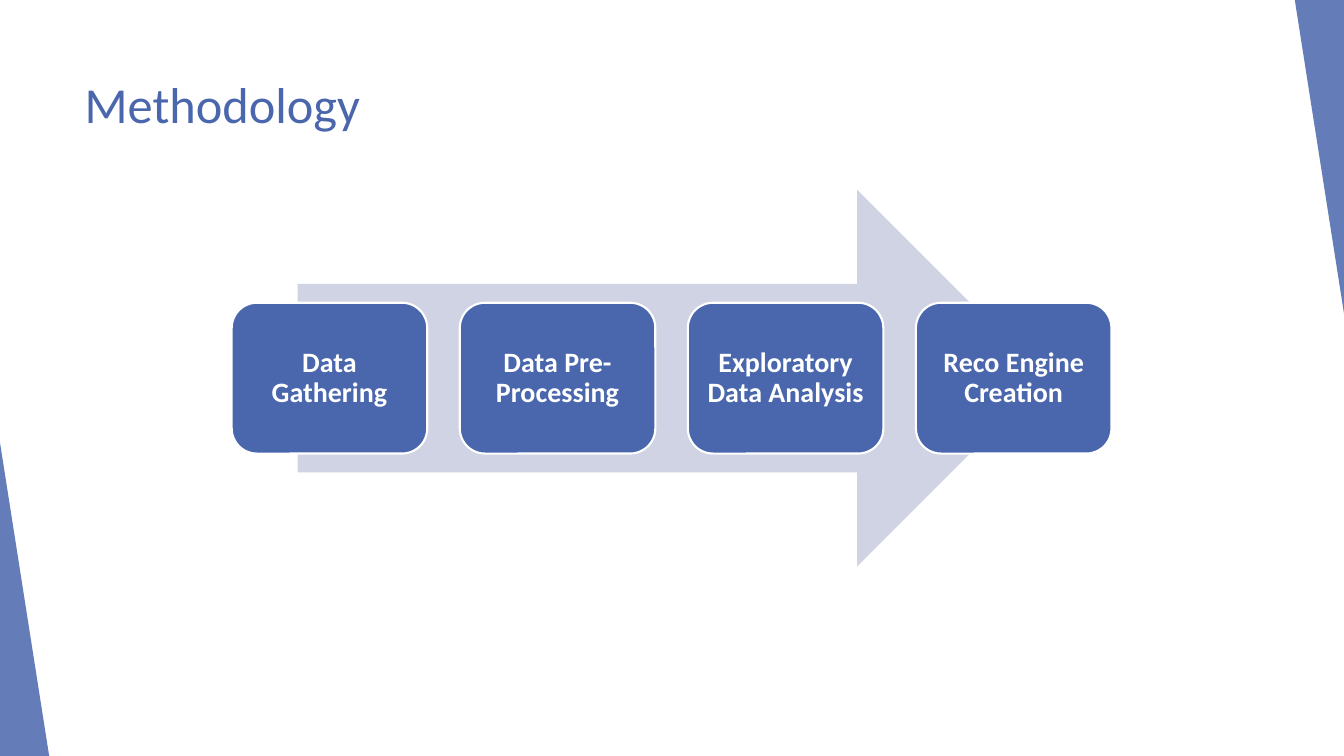
from lxml.etree import SubElement
from pptx import Presentation
from pptx.dml.color import RGBColor
from pptx.enum.shapes import MSO_SHAPE
from pptx.enum.text import MSO_ANCHOR, PP_ALIGN
from pptx.oxml.ns import qn
from pptx.util import Cm, Pt

WIDTH, HEIGHT = 33.87, 19.05
BLUE, PALE, WHITE = "4A66AC", "D0D3E3", "FFFFFF"
STEPS = ["Data Gathering", "Data Pre-Processing",
         "Exploratory Data Analysis", "Reco Engine Creation"]


def rgb(value):
    """Turn a hex string into a colour."""
    return RGBColor.from_string(value)


def add_shape(s, kind, box, fill):
    """Add a filled shape without outline or shadow; box is in centimetres."""
    sp = s.shapes.add_shape(kind, *(Cm(v) for v in box))
    sp.shadow.inherit = False
    sp.fill.solid()
    sp.fill.fore_color.rgb = rgb(fill)
    sp.line.fill.background()
    return sp


def add_run(p, text, size, color, bold=False):
    """Add one formatted run to a paragraph."""
    r = p.add_run()
    r.text = text
    r.font.name = "Calibri"
    r.font.size = Pt(size)
    r.font.bold = bold
    r.font.color.rgb = rgb(color)


def add_wedge(s, box, rotation):
    """Add a translucent corner wedge."""
    sp = add_shape(s, MSO_SHAPE.ISOSCELES_TRIANGLE, box, BLUE)
    sp.adjustments[0] = 0
    sp.rotation = rotation
    clr = sp.fill._xPr.find(".//" + qn("a:srgbClr"))
    SubElement(clr, qn("a:alpha"), val="85000")


def add_corners(s, box):
    """Place wedges in the lower left and upper right corners of the box."""
    left, top, width, height = box
    w, h = 1.24, 7.9
    add_wedge(s, (left, top + height - h, w, h), 0)
    add_wedge(s, (left + width - w, top, w, h), 180)


def add_title(s, text, box):
    """Move and fill the title placeholder."""
    sp = s.shapes.title
    sp.left, sp.top, sp.width, sp.height = (Cm(v) for v in box)
    tf = sp.text_frame
    tf.vertical_anchor = MSO_ANCHOR.MIDDLE
    p = tf.paragraphs[0]
    p.alignment = PP_ALIGN.LEFT
    add_run(p, text, 36, BLUE)


def add_step(s, text, box):
    """Add one rounded step card with a centred label."""
    sp = add_shape(s, MSO_SHAPE.ROUNDED_RECTANGLE, box, BLUE)
    sp.line.color.rgb = rgb(WHITE)
    sp.line.width = Pt(1.5)
    tf = sp.text_frame
    tf.word_wrap = True
    tf.vertical_anchor = MSO_ANCHOR.MIDDLE
    tf.margin_left = tf.margin_right = tf.margin_top = tf.margin_bottom = Cm(0.2)
    p = tf.paragraphs[0]
    p.alignment = PP_ALIGN.CENTER
    p.line_spacing = 0.9
    add_run(p, text, 20, WHITE, True)


def add_process(s, steps, box):
    """Lay evenly spaced step cards over a wide arrow."""
    left, top, width, height = box
    arrow_w, card_h, gap = width * 0.85, height * 0.4, 0.82
    card_w = (width - gap * (len(steps) - 1)) / len(steps)
    add_shape(s, MSO_SHAPE.RIGHT_ARROW,
              (left + (width - arrow_w) / 2, top, arrow_w, height), PALE)
    for i, text in enumerate(steps):
        add_step(s, text, (left + i * (card_w + gap),
                           top + (height - card_h) / 2, card_w, card_h))


def main():
    """Build and save the methodology slide."""
    prs = Presentation()
    prs.slide_width, prs.slide_height = Cm(WIDTH), Cm(HEIGHT)
    s = prs.slides.add_slide(prs.slide_layouts[5])
    add_corners(s, (0, 0, WIDTH, HEIGHT))
    add_title(s, "Methodology", (1.88, 1.7, 30.1, 1.83))
    add_process(s, STEPS, (5.84, 4.78, 22.17, 9.5))
    prs.save("out.pptx")


if __name__ == "__main__":
    main()
